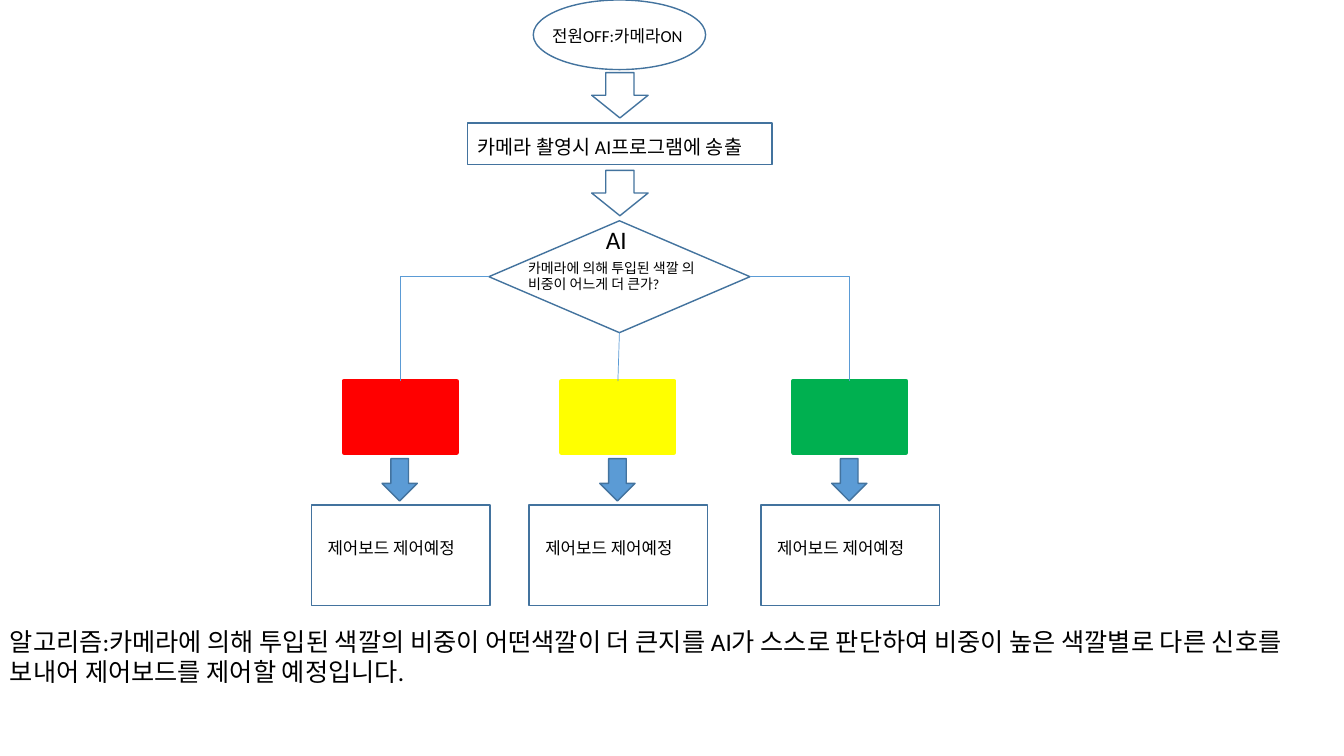
from pptx import Presentation
from pptx.dml.color import RGBColor
from pptx.enum.shapes import MSO_CONNECTOR, MSO_SHAPE
from pptx.enum.text import MSO_ANCHOR, PP_ALIGN
from pptx.oxml.ns import qn
from pptx.util import Inches, Pt
from lxml import etree

OVAL, RECTANGLE = MSO_SHAPE.OVAL, MSO_SHAPE.RECTANGLE
DOWN_ARROW, DECISION = MSO_SHAPE.DOWN_ARROW, MSO_SHAPE.FLOWCHART_DECISION
STRAIGHT, ELBOW = MSO_CONNECTOR.STRAIGHT, MSO_CONNECTOR.ELBOW
LEFT, CENTER = PP_ALIGN.LEFT, PP_ALIGN.CENTER
TOP, BOTTOM = MSO_ANCHOR.TOP, MSO_ANCHOR.BOTTOM
TOP_SIDE, LEFT_SIDE, BOTTOM_SIDE, RIGHT_SIDE = range(4)

COLORS = {
    "paper": "FFFFFF", "ink": "000000", "outline": "43739E", "accent": "5B9BD5",
    "red": "FF0000", "yellow": "FFFF00", "green": "00B050",
}
CELL = 0.1
SLIDE_COLUMNS, SLIDE_ROWS = 133.33, 75


def color(name):
    return RGBColor.from_string(COLORS[name])


def place(region, column, row, columns, rows):
    left, top = region[:2]
    return [Inches(n * CELL) for n in (left + column, top + row, columns, rows)]


def add_block(slide, kind, area, fill="paper", outline="outline", weight=1):
    block = slide.shapes.add_shape(kind, *area)
    block.shadow.inherit = False
    block.fill.solid()
    block.fill.fore_color.rgb = color(fill)
    block.line.color.rgb = color(outline)
    block.line.width = Pt(weight)
    return block


def add_text(slide, area, text, size=12, align=LEFT, anchor=TOP,
             margin_left=0.1, margin_top=0.05):
    frame = slide.shapes.add_textbox(*area).text_frame
    frame.word_wrap = True
    frame.vertical_anchor = anchor
    frame.margin_left = Inches(margin_left)
    frame.margin_top = Inches(margin_top)
    paragraph = frame.paragraphs[0]
    paragraph.alignment = align
    run = paragraph.add_run()
    run.text = text
    run.font.size = Pt(size)
    run.font.name = "Calibri"
    run.font.color.rgb = color("ink")


def add_branch(slide, decision, side, signal, kind):
    branch = slide.shapes.add_connector(kind, 0, 0, 0, 0)
    branch.begin_connect(decision, side)
    branch.end_connect(signal, TOP_SIDE)
    branch.line.color.rgb = color("accent")
    branch.line.width = Pt(0.5)
    properties = branch.element.spPr
    if kind == ELBOW:
        properties.find(qn("a:prstGeom")).set("prst", "bentConnector2")
    etree.SubElement(properties, qn("a:effectLst"))


def add_capture_steps(slide, region):
    add_block(slide, OVAL, place(region, 6.5, 0, 17.1, 6.9))
    add_text(slide, place(region, 7.4, 2.1, 16.1, 3), "전원OFF:카메라ON")
    add_block(slide, RECTANGLE, place(region, 0, 12.2, 30.2, 4.1))
    add_text(slide, place(region, 0, 12.9, 32.3, 3.4),
             "카메라 촬영시 AI프로그램에 송출", size=14)
    for row in (7.2, 16.9):
        add_block(slide, DOWN_ARROW, place(region, 12.3, row, 5.6, 4.5))


def add_decision(slide, region):
    decision = add_block(slide, DECISION, place(region, 0, 0, 25.9, 11.1))
    add_text(slide, place(region, 4.6, -0.1, 16.1, 4), "AI", size=18, align=CENTER)
    add_text(slide, place(region, 2.9, 2.3, 19.8, 8.8),
             "카메라에 의해 투입된 색깔 의 비중이 어느게 더 큰가?",
             size=10, margin_top=0.15)
    return decision


def add_signal_column(slide, region, signal_color):
    signal = add_block(slide, RECTANGLE, place(region, 3.2, 0, 11.2, 7.1),
                       fill=signal_color, outline=signal_color, weight=3)
    add_block(slide, DOWN_ARROW, place(region, 7, 7.7, 3.5, 4.2), fill="accent")
    add_block(slide, RECTANGLE, place(region, 0, 12.3, 17.7, 10))
    add_text(slide, place(region, 0.1, 12.3, 17.6, 5.7), "제어보드 제어예정",
             anchor=BOTTOM, margin_left=0.15)
    return signal


def add_summary(slide, region):
    add_text(slide, place(region, 0, 0, SLIDE_COLUMNS, 7.1),
             "알고리즘:카메라에 의해 투입된 색깔의 비중이 어떤색깔이 더 큰지를 "
             "AI가 스스로 판단하여 비중이 높은 색깔별로 다른 신호를 보내어 "
             "제어보드를 제어할 예정입니다.", size=18)


def main():
    deck = Presentation()
    deck.slide_width = Inches(SLIDE_COLUMNS * CELL)
    deck.slide_height = Inches(SLIDE_ROWS * CELL)
    slide = deck.slides.add_slide(deck.slide_layouts[6])
    add_capture_steps(slide, (46.4, 0))
    decision = add_decision(slide, (48.5, 21.9))
    for column, signal_color, side, kind in (
        (30.9, "red", LEFT_SIDE, ELBOW),
        (52.5, "yellow", BOTTOM_SIDE, STRAIGHT),
        (75.5, "green", RIGHT_SIDE, ELBOW),
    ):
        signal = add_signal_column(slide, (column, 37.8), signal_color)
        add_branch(slide, decision, side, signal, kind)
    add_summary(slide, (0, 61.6))
    deck.save("out.pptx")


if __name__ == "__main__":
    main()
